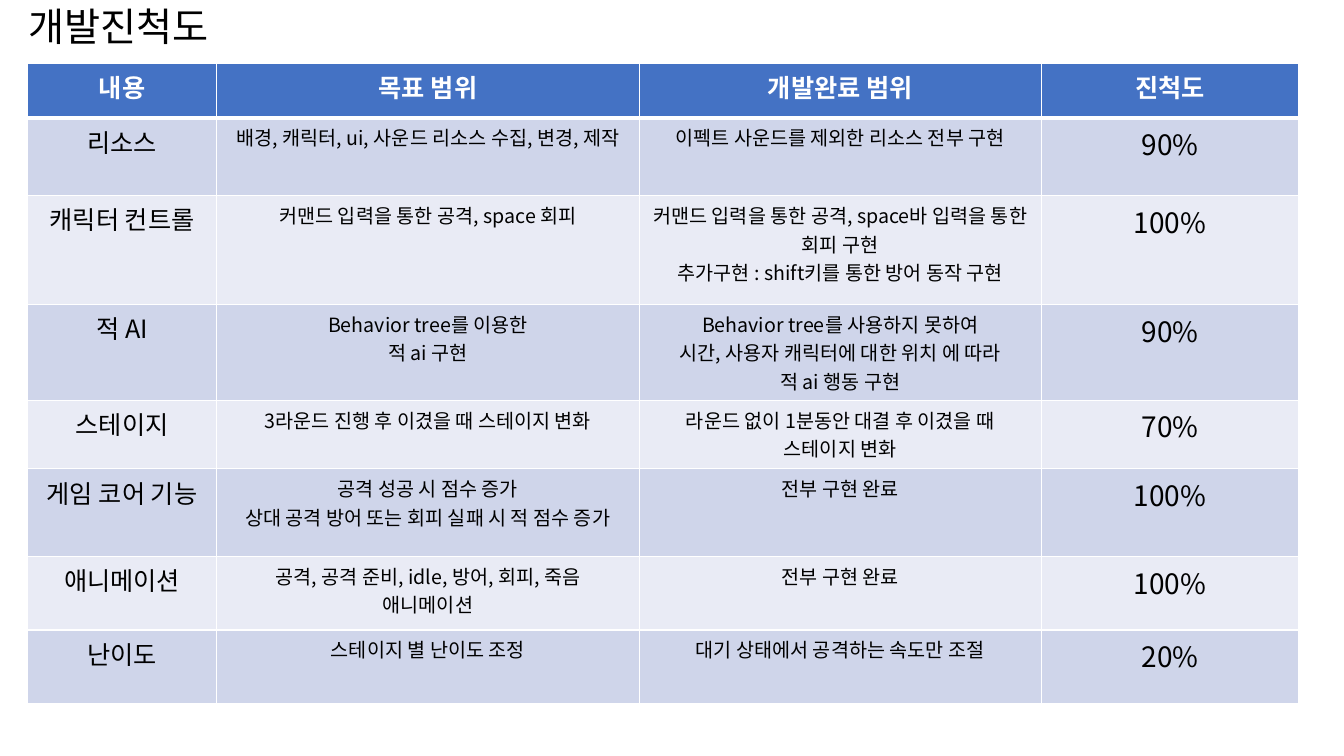
import dataclasses

import pptx
import pptx.dml.color
import pptx.enum.text
import pptx.oxml
import pptx.oxml.ns
import pptx.util


@dataclasses.dataclass(frozen=True)
class Theme:
    font: str = "Noto Sans CJK KR"
    text: str = "000000"
    light: str = "FFFFFF"
    header: str = "4472C4"
    bands: tuple = ("CFD5EA", "E9EBF5")
    title_size: int = 28
    header_size: int = 18
    column_sizes: tuple = (18, 14, 14, 20)  # body text, column by column
    rule: int = 1
    header_rule: int = 3


# Lengths are percentages of the slide's width or height
TITLE_BOX = (1.35, 1.6, 21.6, 4.4)
TABLE_CORNER = (2.03, 8.4)
COLUMN_SHARES = (14.1, 31.43, 29.93, 19.13)
ROW_SHARES = (7.2, 10.27, 14.4, 12.67, 9.07, 11.6, 9.73, 9.73)

HEADINGS = ("내용", "목표 범위", "개발완료 범위", "진척도")
PROGRESS = (
    ("리소스", "배경, 캐릭터, ui, 사운드 리소스 수집, 변경, 제작",
     "이펙트 사운드를 제외한 리소스 전부 구현", "90%"),
    ("캐릭터 컨트롤", "커맨드 입력을 통한 공격, space 회피",
     "커맨드 입력을 통한 공격, space바 입력을 통한 회피 구현\n"
     "추가구현 : shift키를 통한 방어 동작 구현", "100%"),
    ("적 AI", "Behavior tree를 이용한\n적 ai 구현",
     "Behavior tree를 사용하지 못하여\n"
     "시간, 사용자 캐릭터에 대한 위치 에 따라\n적 ai 행동 구현", "90%"),
    ("스테이지", "3라운드 진행 후 이겼을 때 스테이지 변화",
     "라운드 없이 1분동안 대결 후 이겼을 때\n스테이지 변화", "70%"),
    ("게임 코어 기능",
     "공격 성공 시 점수 증가\n상대 공격 방어 또는 회피 실패 시 적 점수 증가",
     "전부 구현 완료", "100%"),
    ("애니메이션", "공격, 공격 준비, idle, 방어, 회피, 죽음\n애니메이션",
     "전부 구현 완료", "100%"),
    ("난이도", "스테이지 별 난이도 조정",
     "대기 상태에서 공격하는 속도만 조절", "20%"),
)


class SlideBuilder:
    def __init__(self, presentation, theme):
        self.theme = theme
        self.width = presentation.slide_width
        self.height = presentation.slide_height
        self.slide = presentation.slides.add_slide(presentation.slide_layouts[5])

    def across(self, share):
        return round(self.width * share / 100)

    def down(self, share):
        return round(self.height * share / 100)

    def style(self, paragraph, size, color, alignment, bold=False):
        paragraph.alignment = alignment
        font = paragraph.font
        font.name = self.theme.font
        font.size = pptx.util.Pt(size)
        font.bold = bold
        font.color.rgb = pptx.dml.color.RGBColor.from_string(color)
        # Hangul takes the East Asian typeface
        properties = paragraph._p.get_or_add_pPr().get_or_add_defRPr()
        properties.append(pptx.oxml.parse_xml(
            f'<a:ea {pptx.oxml.ns.nsdecls("a")} typeface="{self.theme.font}"/>'))

    def title(self, text, box):
        shape = self.slide.shapes.title
        left, top, width, height = box
        shape.left, shape.top = self.across(left), self.down(top)
        shape.width, shape.height = self.across(width), self.down(height)
        frame = shape.text_frame
        frame.text = text
        frame.auto_size = pptx.enum.text.MSO_AUTO_SIZE.NONE
        frame.vertical_anchor = pptx.enum.text.MSO_ANCHOR.MIDDLE
        paragraph = frame.paragraphs[0]
        paragraph.line_spacing = 0.9
        self.style(paragraph, self.theme.title_size, self.theme.text,
                   pptx.enum.text.PP_ALIGN.LEFT)

    def borders(self, cell, top, bottom):
        rule = self.theme.rule
        for side, points in zip("LRTB", (rule, rule, top, bottom)):
            cell._tc.get_or_add_tcPr().append(pptx.oxml.parse_xml(
                f'<a:ln{side} {pptx.oxml.ns.nsdecls("a")} w="{pptx.util.Pt(points)}">'
                f'<a:solidFill><a:srgbClr val="{self.theme.light}"/></a:solidFill>'
                f'</a:ln{side}>'))

    def cell(self, cell, text, row, column):
        theme = self.theme
        is_header = row == 0
        self.borders(cell,
                     top=theme.header_rule if row == 1 else theme.rule,
                     bottom=theme.header_rule if is_header else theme.rule)
        fill = theme.header if is_header else theme.bands[(row - 1) % 2]
        cell.fill.solid()
        cell.fill.fore_color.rgb = pptx.dml.color.RGBColor.from_string(fill)
        cell.text = text
        for paragraph in cell.text_frame.paragraphs:
            self.style(paragraph,
                       theme.header_size if is_header else theme.column_sizes[column],
                       theme.light if is_header else theme.text,
                       pptx.enum.text.PP_ALIGN.CENTER, bold=is_header)

    def table(self, rows, corner, column_shares, row_shares):
        left, top = corner
        table = self.slide.shapes.add_table(
            len(rows), len(column_shares), self.across(left), self.down(top),
            self.across(sum(column_shares)), self.down(sum(row_shares))).table
        for column, share in zip(table.columns, column_shares):
            column.width = self.across(share)
        for row, share in zip(table.rows, row_shares):
            row.height = self.down(share)
        for row, texts in enumerate(rows):
            for column, text in enumerate(texts):
                self.cell(table.cell(row, column), text, row, column)


def main():
    presentation = pptx.Presentation()
    presentation.slide_width = pptx.util.Inches(13.33)
    presentation.slide_height = pptx.util.Inches(7.5)
    builder = SlideBuilder(presentation, Theme())

    # Heading
    builder.title("개발진척도", TITLE_BOX)

    # Progress table
    builder.table((HEADINGS, *PROGRESS), TABLE_CORNER, COLUMN_SHARES, ROW_SHARES)

    presentation.save("out.pptx")


if __name__ == "__main__":
    main()
